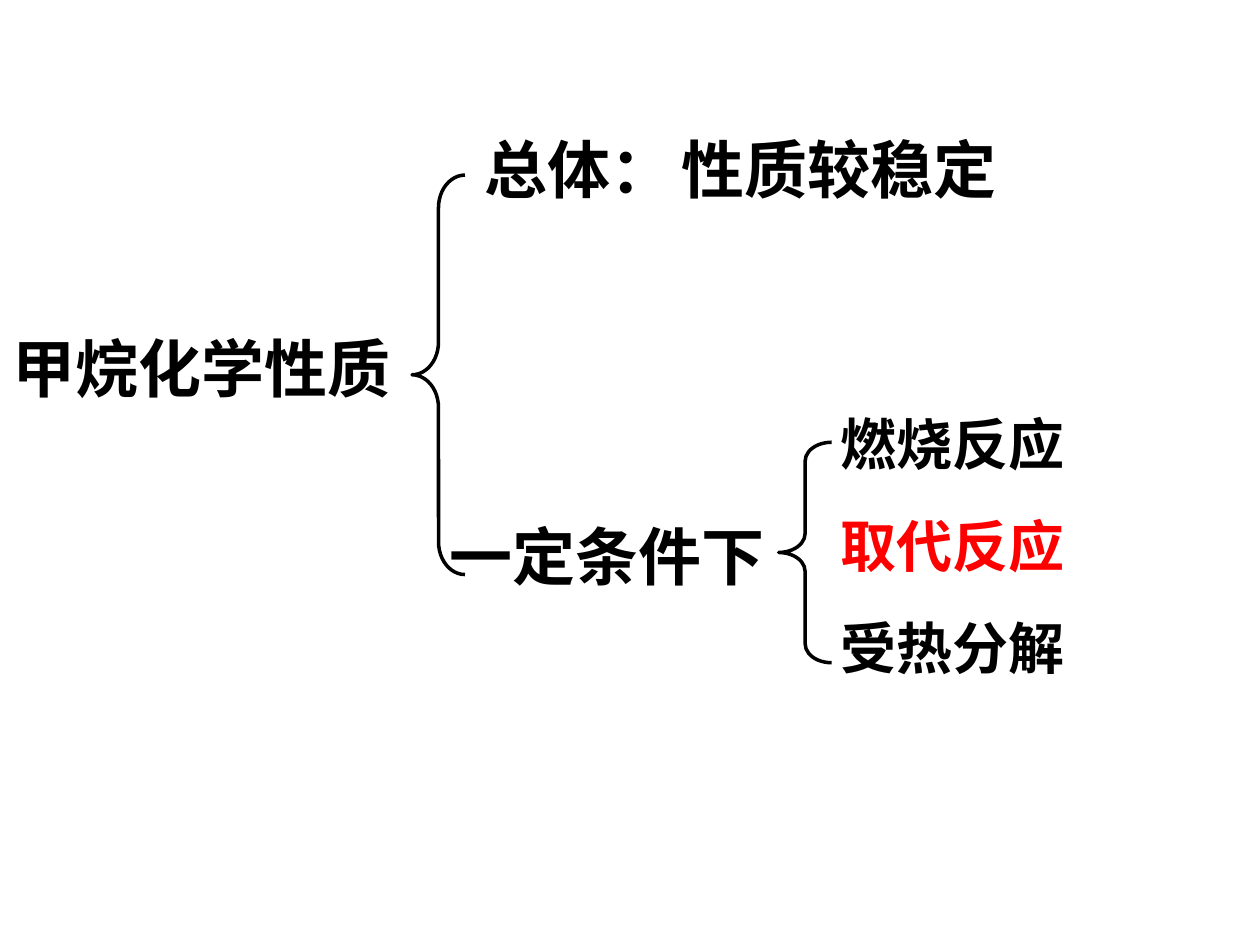
from pptx import Presentation
from pptx.dml.color import RGBColor
from pptx.enum.shapes import MSO_SHAPE
from pptx.enum.text import MSO_ANCHOR
from pptx.util import Inches, Pt

LEFT_BRACE = MSO_SHAPE.LEFT_BRACE
TOP = MSO_ANCHOR.TOP

COLORS = {"text": "000000", "highlight": "FF0000", "line": "000000"}
FONT_NAME = "Times New Roman"
BRACE_WIDTH = 0.42


def add_label(slide, box, lines, size=36, spacing=0):
    """Place bold lines, given as (text, colour key), in a text box."""
    text_box = slide.shapes.add_textbox(*map(Inches, box))
    frame = text_box.text_frame
    frame.word_wrap = True
    frame.vertical_anchor = TOP
    font_format = {"name": FONT_NAME, "size": Pt(size), "bold": True}
    for index, (text, color) in enumerate(lines):
        paragraph = frame.add_paragraph() if index else frame.paragraphs[0]
        paragraph.space_before = Pt(spacing if index else 0)
        run = paragraph.add_run()
        run.text = text
        for name, value in font_format.items():
            setattr(run.font, name, value)
        run.font.color.rgb = RGBColor.from_string(COLORS[color])


def add_brace(slide, left, top, height, curve):
    """Draw a left brace; curve is the height of each bend."""
    brace = slide.shapes.add_shape(
        LEFT_BRACE, Inches(left), Inches(top), Inches(BRACE_WIDTH), Inches(height)
    )
    brace.shadow.inherit = False
    brace.adjustments[0] = curve / BRACE_WIDTH
    brace.adjustments[1] = 0.5
    brace.fill.background()
    brace.line.color.rgb = RGBColor.from_string(COLORS["line"])
    brace.line.width = Pt(2)


def add_property_tree(slide, box):
    """Place the topic, its two branches and the list of reactions."""
    left, top, width, height = box

    # Topic and main brace
    add_label(slide, (left, top + 1.58, 3.39, 0.7), [("甲烷化学性质", "text")])
    add_brace(slide, left + 3.27, top + 0.4, 3.17, curve=0.26)

    # Overall branch
    add_label(slide, (left + 3.75, top, 1.88, 0.7), [("总体：", "text")])
    add_label(slide, (left + 5.31, top, 3.39, 0.7), [("性质较稳定", "text")])

    # Conditional branch and its reactions
    add_label(slide, (left + 3.47, top + 3.07, 3.03, 0.7), [("一定条件下", "text")])
    add_brace(slide, left + 6.18, top + 2.52, 1.75, curve=0.15)
    reactions = [("燃烧反应", "text"), ("取代反应", "highlight"), ("受热分解", "text")]
    reaction_left, reaction_top = 6.57, 2.21
    add_label(
        slide,
        (left + reaction_left, top + reaction_top,
         width - reaction_left, height - reaction_top),
        reactions, size=32, spacing=20,
    )


def main():
    presentation = Presentation()
    presentation.slide_width = Inches(10)
    presentation.slide_height = Inches(7.5)
    slide = presentation.slides.add_slide(presentation.slide_layouts[6])
    add_property_tree(slide, (0, 0.99, 9.17, 4.47))
    presentation.save("out.pptx")


if __name__ == "__main__":
    main()
